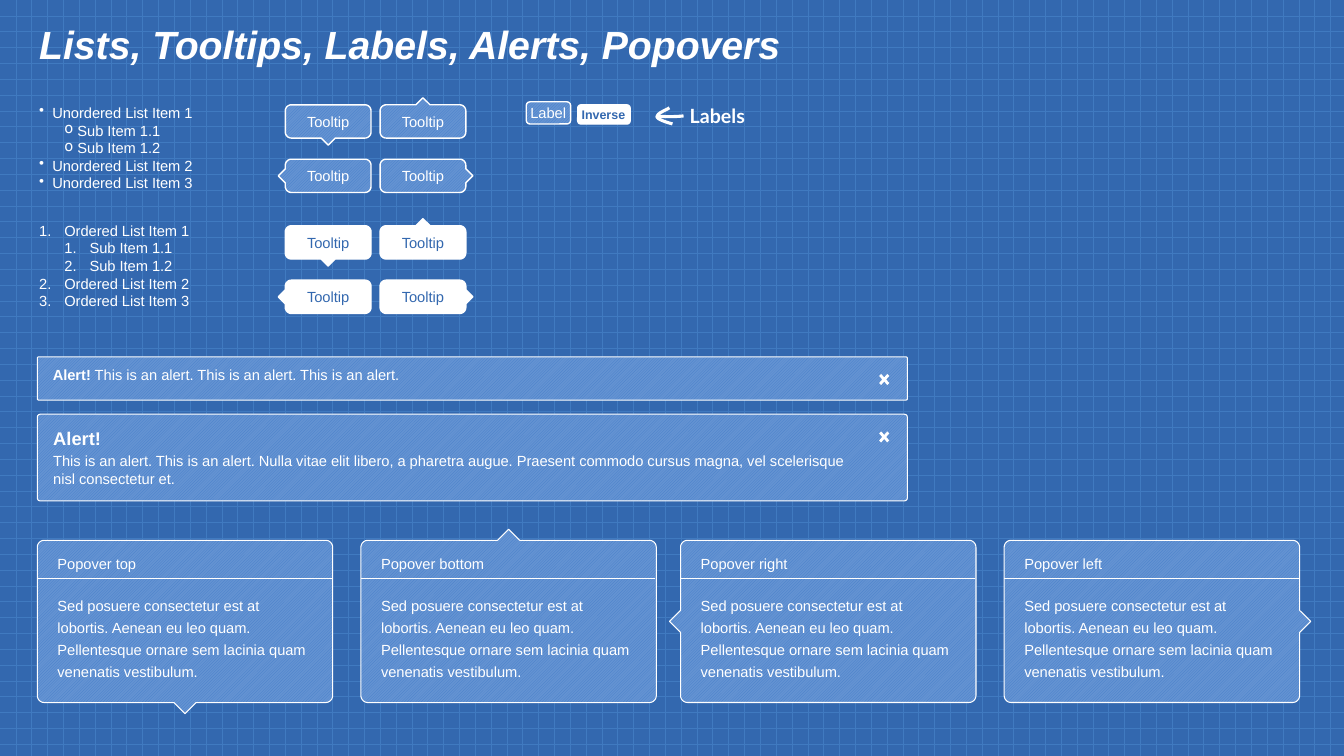
from math import cos, pi, sin

from lxml.etree import SubElement
from pptx import Presentation
from pptx.dml.color import RGBColor
from pptx.enum.dml import MSO_PATTERN as PATTERN
from pptx.enum.shapes import MSO_CONNECTOR as CONNECTOR, MSO_SHAPE as SHAPE
from pptx.enum.text import MSO_ANCHOR as ANCHOR, MSO_AUTO_SIZE as AUTO, PP_ALIGN as ALIGN
from pptx.oxml.ns import qn
from pptx.util import Inches, Pt

WHITE = RGBColor(0xFF, 0xFF, 0xFF)
BLUE = RGBColor(0x33, 0x68, 0xAF)
GRID = RGBColor(0x40, 0x7A, 0xC0)
STRIPE = RGBColor(0x43, 0x7C, 0xC9)
PANEL = RGBColor(0x64, 0x93, 0xD2)
STRIPED = (PATTERN.LIGHT_UPWARD_DIAGONAL, STRIPE, PANEL)
TOP, RIGHT, BOTTOM, LEFT = range(4)
NORMALS = [(0, -1), (1, 0), (0, 1), (-1, 0)]
SIZE = 10.5

TITLE = "Lists, Tooltips, Labels, Alerts, Popovers"
# top, width, indent of the first level, bullets by level, (level, item)
LISTS = [
    (0.98, 1.75, 0.13, "\u2022o",
     [(0, "Unordered List Item 1"), (1, "Sub Item 1.1"), (1, "Sub Item 1.2"),
      (0, "Unordered List Item 2"), (0, "Unordered List Item 3")]),
    (2.15, 1.71, 0.25, None,
     [(0, "Ordered List Item 1"), (1, "Sub Item 1.1"), (1, "Sub Item 1.2"),
      (0, "Ordered List Item 2"), (0, "Ordered List Item 3")]),
]
# text, box, fill, text colour, size, bold
LABELS = [
    ("Label", (5.22, 1.01, 0.44, 0.22), STRIPED, WHITE, SIZE, False),
    ("Inverse", (5.73, 1.04, 0.52, 0.19), WHITE, BLUE, 8.9, True),
]
ARROW_CURVES = [
    [(6.64, 1.07), (6.59, 1.1), (6.53, 1.12), (6.52, 1.15),
     (6.5, 1.17), (6.56, 1.2), (6.67, 1.23)],
    [(6.52, 1.15), (6.58, 1.16), (6.69, 1.16), (6.78, 1.15)],
]
# top, height, paragraphs made of (text, size, bold)
ALERTS = [
    (4.11, 0.86, [
        [("Alert!", 13.1, True)],
        [("This is an alert. This is an alert. Nulla vitae elit libero, a pharetra augue. "
          "Praesent commodo cursus magna, vel scelerisque nisl consectetur et.", SIZE, False)]]),
    (3.54, 0.43, [
        [("Alert!", SIZE, True),
         (" This is an alert. This is an alert. This is an alert.", SIZE, False)]]),
]
TOOLTIP_TAILS = [(BOTTOM, TOP), (LEFT, RIGHT)]
TOOLTIP_THEMES = [(1.04, STRIPED, WHITE), (2.24, WHITE, BLUE)]
POPOVERS = [("Popover top", 0.37, BOTTOM), ("Popover bottom", 3.58, TOP),
            ("Popover right", 6.75, LEFT), ("Popover left", 9.96, RIGHT)]
POPOVER_TEXT = ("Sed posuere consectetur est at lobortis. Aenean eu leo quam. "
                "Pellentesque ornare sem lacinia quam venenatis vestibulum.")
HALF_CROSS = [(-0.03, -0.055), (-0.05, -0.035), (-0.02, 0),
              (-0.05, 0.035), (-0.03, 0.055), (0, 0.02)]


def apply(target, formats):
    """Set every attribute named in formats on target."""
    for name, value in formats.items():
        setattr(target, name, value)


def paint(fill, paint_with):
    """Fill with a colour, a (pattern, fore, back) triple, or nothing."""
    if paint_with is None:
        fill.background()
    elif isinstance(paint_with, RGBColor):
        fill.solid()
        fill.fore_color.rgb = paint_with
    else:
        fill.patterned()
        fill.pattern, fill.fore_color.rgb, fill.back_color.rgb = paint_with


def dress(shape, fill, line_width):
    """Give a shape its fill and white outline, without a shadow."""
    shape.shadow.inherit = False
    paint(shape.fill, fill)
    paint(shape.line.fill, WHITE if line_width else None)
    if line_width:
        shape.line.width = Pt(line_width)


def write(shape, paragraphs, insets=(0.1, 0.05, 0.1, 0.05), color=WHITE, font="Arial",
          italic=None, frame_format=None, **paragraph_format):
    """Write paragraphs of (text, size, bold) runs and return the paragraphs."""
    frame = shape.text_frame
    margins = ("margin_left", "margin_top", "margin_right", "margin_bottom")
    apply(frame, {"word_wrap": True, "vertical_anchor": ANCHOR.TOP,
                  **dict(zip(margins, map(Inches, insets))), **(frame_format or {})})
    for number, runs in enumerate(paragraphs):
        paragraph = frame.add_paragraph() if number else frame.paragraphs[0]
        apply(paragraph, {"alignment": ALIGN.LEFT, **paragraph_format})
        for text, size, bold in runs:
            run = paragraph.add_run()
            run.text = text
            apply(run.font, {"name": font, "size": Pt(size), "bold": bold, "italic": italic})
            run.font.color.rgb = color
    return frame.paragraphs


def outline(shapes, points, fill, line_width, close=True):
    """Draw a freeform through points given in inches."""
    start, *rest = [(Inches(x), Inches(y)) for x, y in points]
    builder = shapes.build_freeform(*start, scale=1.0)
    builder.add_line_segments(rest, close=close)
    shape = builder.convert_to_shape()
    dress(shape, fill, line_width)
    return shape


def bubble(shapes, box, radius, tail_side, tail, fill, line_width):
    """Draw a rounded box with a pointed tail in the middle of one side."""
    left, top, width, height = box
    center = (left + width / 2, top + height / 2)
    inner = (width / 2 - radius, height / 2 - radius)
    points = []
    for side, (sx, sy) in enumerate([(-1, -1), (1, -1), (1, 1), (-1, 1)]):
        for step in range(9):
            angle = pi + (side + step / 8) * pi / 2
            points.append((center[0] + sx * inner[0] + radius * cos(angle),
                           center[1] + sy * inner[1] + radius * sin(angle)))
        if side == tail_side:
            nx, ny = NORMALS[side]
            x, y = center[0] + nx * width / 2, center[1] + ny * height / 2
            points += [(x - ny * along + nx * out, y + nx * along + ny * out)
                       for along, out in ((-tail, 0), (0, tail), (tail, 0))]
    return outline(shapes, points, fill, line_width)


def tail_insets(base, side, tail):
    """Return left, top, right, bottom insets, with room for the tail."""
    order = (LEFT, TOP, RIGHT, BOTTOM)
    return [inset + (tail if at == side else 0) for inset, at in zip(base, order)]


def curve(controls, steps=10):
    """Sample a chain of cubic Bezier curves."""
    points = [controls[0]]
    for first in range(0, len(controls) - 1, 3):
        for t in (step / steps for step in range(1, steps + 1)):
            weights = ((1 - t) ** 3, 3 * t * (1 - t) ** 2, 3 * t * t * (1 - t), t ** 3)
            points.append(tuple(sum(w * p[axis] for w, p in zip(weights, controls[first:first + 4]))
                                for axis in (0, 1)))
    return points


deck = Presentation()
deck.slide_width, deck.slide_height = Inches(13.33), Inches(7.5)
slide = deck.slides.add_slide(deck.slide_layouts[6])
paint(slide.background.fill, (PATTERN.DOTTED_GRID, GRID, BLUE))
shapes = slide.shapes
FIT = {"auto_size": AUTO.SHAPE_TO_FIT_TEXT}
HUG = {**FIT, "word_wrap": False}

title = shapes.add_textbox(*map(Inches, (0.29, 0.21, 12.75, 0.53)))
write(title, [[(TITLE, 28, True)]], italic=True, frame_format=FIT, line_spacing=0.9)

for top, width, indent, bullets, items in LISTS:
    listing = shapes.add_textbox(*map(Inches, (0.29, top, width, 0.98)))
    lines = write(listing, [[(item, SIZE, False)] for _, item in items], frame_format=HUG)
    for line, (level, _) in zip(lines, items):
        line.level = level
        properties = line._p.get_or_add_pPr()
        properties.set("marL", str(Inches(indent + 0.25 * level)))
        properties.set("indent", str(Inches(-indent)))
        if bullets:
            SubElement(properties, qn("a:buChar"), char=bullets[level])
        else:
            SubElement(properties, qn("a:buAutoNum"), type="arabicPeriod")

for text, box, fill, color, size, bold in LABELS:
    label = shapes.add_shape(SHAPE.ROUNDED_RECTANGLE, *map(Inches, box))
    dress(label, fill, 1)
    write(label, [[(text, size, bold)]], (0.03, 0.01, 0.03, 0.01), color,
          frame_format={**HUG, "vertical_anchor": ANCHOR.MIDDLE})

for top, height, paragraphs in ALERTS:
    group = shapes.add_group_shape().shapes
    alert = group.add_shape(SHAPE.ROUNDED_RECTANGLE, *map(Inches, (0.37, top, 8.63, height)))
    alert.adjustments[0] = 0.033
    dress(alert, STRIPED, 0.75)
    heading = write(alert, paragraphs, (0.15, 0.12, 0.5, 0.12), frame_format=FIT)[0]
    heading.space_after = Pt(2)
    cross = HALF_CROSS + [(-x, -y) for x, y in HALF_CROSS]
    outline(group, [(8.77 + x, top + 0.225 + y) for x, y in cross], WHITE, 0)

for first_top, fill, color in TOOLTIP_THEMES:
    for row, tails in enumerate(TOOLTIP_TAILS):
        for column, side in enumerate(tails):
            box = (2.83 + 0.94 * column, first_top + 0.54 * row, 0.85, 0.33)
            tooltip = bubble(shapes, box, 0.06, side, 0.07, fill, 1)
            write(tooltip, [[("Tooltip", SIZE, False)]], tail_insets((0, 0, 0, 0), side, 0.07),
                  color, frame_format={"vertical_anchor": ANCHOR.MIDDLE}, alignment=ALIGN.CENTER)

for name, left, side in POPOVERS:
    group = shapes.add_group_shape().shapes
    popover = bubble(group, (left, 5.36, 2.93, 1.61), 0.07, side, 0.11, STRIPED, 0.75)
    heading = write(popover, [[(name, SIZE, False)], [(POPOVER_TEXT, SIZE, False)]],
                    tail_insets((0.2, 0.1, 0.2, 0.1), side, 0.11), line_spacing=1.25)[0]
    heading.space_after = Pt(14)
    divider = group.add_connector(CONNECTOR.STRAIGHT,
                                  *map(Inches, (left, 5.74, left + 2.92, 5.74)))
    paint(divider.line.fill, WHITE)
    divider.line.width = Pt(0.75)
    SubElement(divider._element.spPr, qn("a:effectLst"))

group = shapes.add_group_shape().shapes
for controls in ARROW_CURVES:
    outline(group, curve(controls), None, 2.25, close=False)
caption = group.add_textbox(*map(Inches, (6.79, 0.99, 0.69, 0.31)))
write(caption, [[("Labels", 14, True)]], (0.05, 0.04, 0.05, 0.04), font="Lato", frame_format=HUG)

deck.save("out.pptx")
